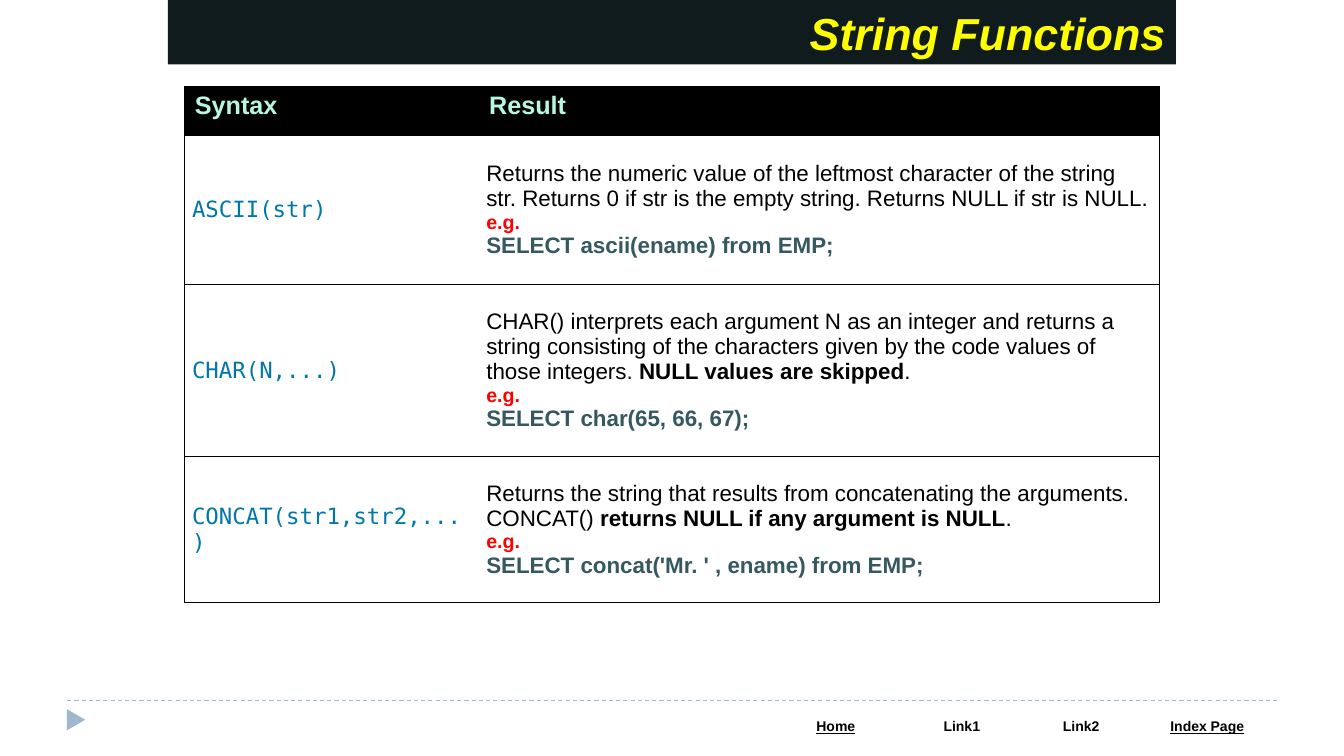
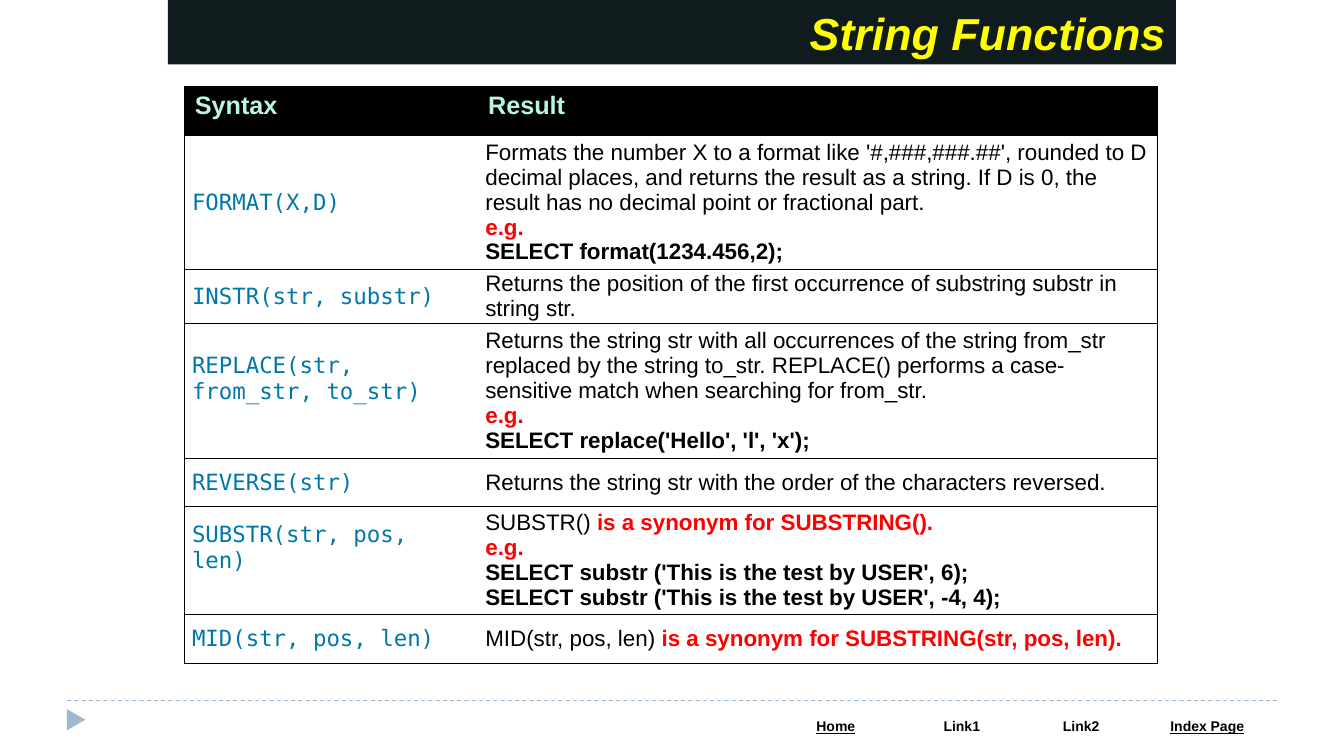
from lxml import etree
from pptx import Presentation
from pptx.dml.color import RGBColor
from pptx.enum import dml, shapes, text
from pptx.oxml import ns
from pptx.util import Pt

BLACK, WHITE, RED = "000000", "FFFFFF", "FF0000"
BAND, YELLOW, MINT = "101B1D", "FFFF00", "B7F7E2"
BLUE, TEAL, STEEL = "0077AA", "365860", "9FB8CD"
SANS, MONO = "Arial", "DejaVu Sans Mono"
PLAIN_GRID = "{2D5ABB26-0587-4C30-8999-92F81FD0307C}"
TOP = 35  # height of the table's header row

# Text styles: size, colour, bold, font
STYLES = {
    "head": (18, MINT, True, SANS),
    "call": (16, BLUE, False, MONO),
    "body": (16, BLACK, False, SANS),
    "bold": (16, BLACK, True, SANS),
    "red": (16, RED, True, SANS),
    "note": (14, RED, True, SANS),
    "code": (16, TEAL, True, SANS),
    "link": (10, BLACK, True, SANS),
    "title": (32, YELLOW, True, SANS),
}

# Each slide: column widths, then rows of
# (height, syntax, bottom margin of syntax, paragraphs of (style, text) runs)
PAGES = [
    ((210.2, 486), [
        (106.5, "ASCII(str)", 0, [
            [("body", "Returns the numeric value of the leftmost character of the "
              "string str. Returns 0 if str is the empty string. Returns NULL if "
              "str is NULL.")],
            [("note", "e.g.")],
            [("code", "SELECT ascii(ename) from EMP;")]]),
        (122.9, "CHAR(N,...)", 0, [
            [("body", "CHAR() interprets each argument N as an integer and returns a "
              "string consisting of the characters given by the code values of "
              "those integers. "),
             ("bold", "NULL values are skipped"), ("body", ".")],
            [("note", "e.g.")],
            [("code", "SELECT char(65, 66, 67);")]]),
        (104.3, "CONCAT(str1,str2,...)", 0, [
            [("body", "Returns the string that results from concatenating the "
              "arguments. CONCAT() "),
             ("bold", "returns NULL if any argument is NULL"), ("body", ".")],
            [("note", "e.g.")],
            [("code", "SELECT concat('Mr. ' , ename) from EMP;")]]),
    ]),
    ((209.5, 485.3), [
        (95.7, "FORMAT(X,D)", 0, [
            [("body", "Formats the number X to a format like '#,###,###.##', rounded "
              "to D decimal places, and returns the result as a string. If D is 0, "
              "the result has no decimal point or fractional part.")],
            [("red", "e.g.")],
            [("bold", "SELECT format(1234.456,2);")]]),
        (38.6, "INSTR(str, substr)", 0, [
            [("body", "Returns the position of the first occurrence of substring "
              "substr in string str.")]]),
        (96.4, "REPLACE(str, from_str, to_str)", 18, [
            [("body", "Returns the string str with all occurrences of the string "
              "from_str replaced by the string to_str. REPLACE() performs a "
              "case-sensitive match when searching for from_str.")],
            [("red", "e.g.")],
            [("bold", "SELECT replace('Hello', 'l', 'x');")]]),
        (34.3, "REVERSE(str)", 0, [
            [("body", "Returns the string str with the order of the characters "
              "reversed.")]]),
        (77.1, "SUBSTR(str, pos, len)", 18, [
            [("body", "SUBSTR() "), ("red", "is a synonym for SUBSTRING().")],
            [("red", "e.g.")],
            [("bold", "SELECT substr ('This is the test by USER', 6);")],
            [("bold", "SELECT substr ('This is the test by USER', -4, 4);")]]),
        (35, "MID(str, pos, len)", 0, [
            [("body", "MID(str, pos, len) "),
             ("red", "is a synonym for SUBSTRING(str, pos, len).")]]),
    ]),
]
LINKS = [("Home", 90, True), ("Link1", 90, False),
         ("Link2", 80.6, False), ("Index Page", 99.4, True)]


def paint(part, tone):
    """Give a fill, line or font its colour."""
    if hasattr(part, "solid"):
        part.solid()
        part = part.fore_color
    else:
        part = part.color
    part.rgb = RGBColor.from_string(tone)


def write(frame, paras):
    """Fill a text frame with paragraphs of (style, text) runs."""
    for i, runs in enumerate(paras):
        par = frame.add_paragraph() if i else frame.paragraphs[0]
        fonts = [(par.font, runs[0][0])]
        for style, words in runs:
            run = par.add_run()
            run.text = words
            if len(runs) > 1:
                fonts.append((run.font, style))
        for font, style in fonts:
            size, tone, font.bold, font.name = STYLES[style]
            font.size = Pt(size)
            paint(font, tone)


deck = Presentation()
deck.slide_width, deck.slide_height = Pt(960), Pt(540)

for widths, rows in PAGES:
    slide = deck.slides.add_slide(deck.slide_layouts[6])
    items = slide.shapes

    # Footer arrow and dashed rule
    mark = items.add_shape(shapes.MSO_SHAPE.ISOSCELES_TRIANGLE,
                           Pt(46.8), Pt(507.6), Pt(15.1), Pt(13))
    mark.rotation = 90
    mark.shadow.inherit = False
    paint(mark.fill, STEEL)
    mark.line.fill.background()
    rule = items.add_connector(shapes.MSO_CONNECTOR.STRAIGHT,
                               Pt(48), Pt(500.4), Pt(912), Pt(500.4))
    paint(rule.line, STEEL)
    rule.line.width = Pt(0.75)
    rule.line.dash_style = dml.MSO_LINE.DASH
    etree.SubElement(rule._element.spPr, ns.qn("a:effectLst"))

    # Footer links
    links = items.add_table(1, len(LINKS), Pt(552), Pt(509.8),
                            Pt(360), Pt(19.4)).table
    links._tbl.tblPr.find(ns.qn("a:tableStyleId")).text = PLAIN_GRID
    for i, (name, width, under) in enumerate(LINKS):
        links.columns[i].width = Pt(width)
        cell = links.cell(0, i)
        paint(cell.fill, WHITE)
        write(cell.text_frame, [[("link", name)]])
        par = cell.text_frame.paragraphs[0]
        par.alignment = text.PP_ALIGN.CENTER
        par.font.underline = under

    # Title band
    band = items.add_shape(shapes.MSO_SHAPE.RECTANGLE,
                           Pt(120), Pt(0), Pt(720), Pt(46))
    band.shadow.inherit = False
    paint(band.fill, BAND)
    band.line.fill.background()
    write(band.text_frame, [[("title", "String Functions")]])
    par = band.text_frame.paragraphs[0]
    par.alignment = text.PP_ALIGN.RIGHT
    par.font.italic = True

    # Function table
    high = [TOP] + [row[0] for row in rows]
    grid = items.add_table(len(high), 2, Pt(132), Pt(61.8),
                           Pt(sum(widths)), Pt(sum(high))).table
    grid._tbl.tblPr.find(ns.qn("a:tableStyleId")).text = PLAIN_GRID
    grid.horz_banding = False
    for col, width in zip(grid.columns, widths):
        col.width = Pt(width)
    for row, height in zip(grid.rows, high):
        row.height = Pt(height)
    write(grid.cell(0, 0).text_frame, [[("head", "Syntax")]])
    write(grid.cell(0, 1).text_frame, [[("head", "Result")]])
    for r, (height, call, foot, paras) in enumerate(rows, 1):
        for c, body in enumerate(([[("call", call)]], paras)):
            cell = grid.cell(r, c)
            cell.vertical_anchor = text.MSO_ANCHOR.MIDDLE
            cell.margin_left, cell.margin_right = Pt(5.2), Pt(7.2)
            cell.margin_top = cell.margin_bottom = Pt(0)
            write(cell.text_frame, body)
        grid.cell(r, 0).margin_bottom = Pt(foot)

    # Cell fills and borders: outer frame and row lines
    for r in range(len(high)):
        for c, side in enumerate("LR"):
            cell = grid.cell(r, c)
            props = cell._tc.get_or_add_tcPr()
            for edge in (side, "T", "B"):
                line = etree.SubElement(props, ns.qn("a:ln" + edge), w=str(Pt(0.75)))
                fill = etree.SubElement(line, ns.qn("a:solidFill"))
                etree.SubElement(fill, ns.qn("a:srgbClr"), val=BLACK)
            paint(cell.fill, WHITE if r else BLACK)

deck.save("out.pptx")
